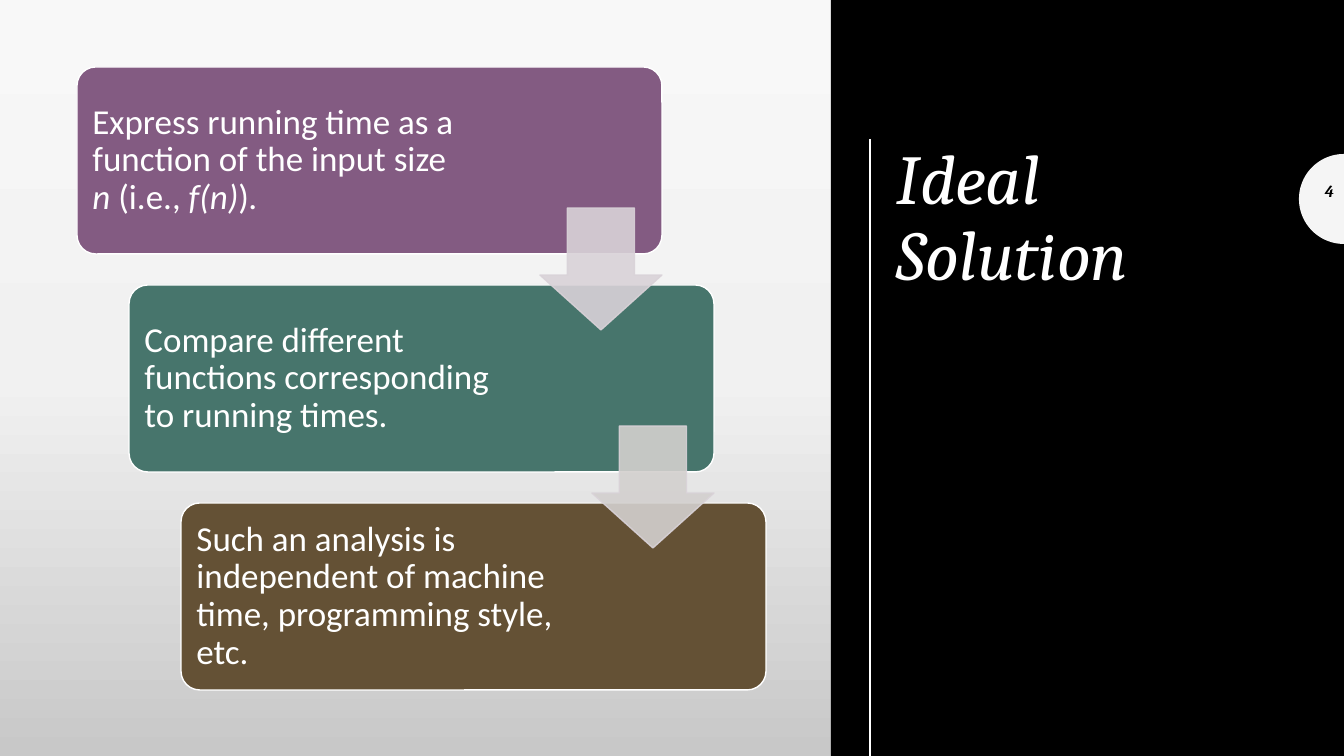
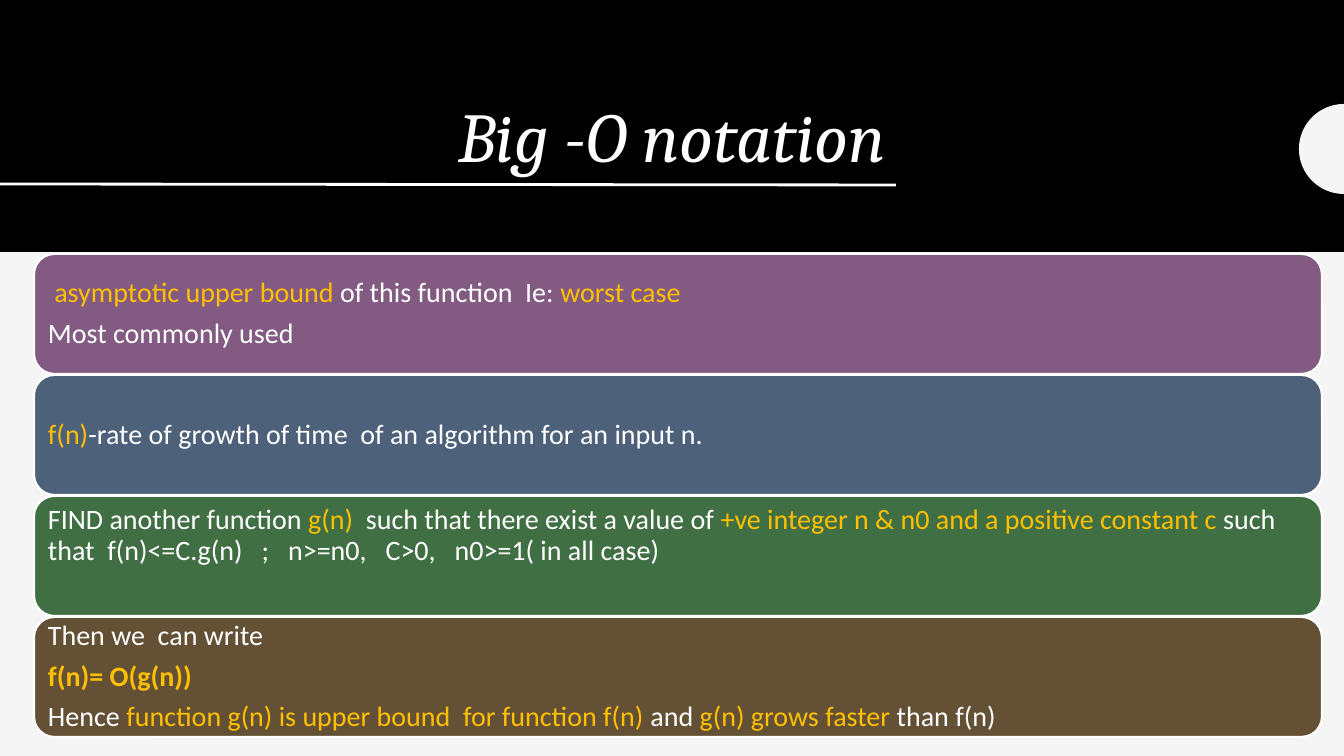
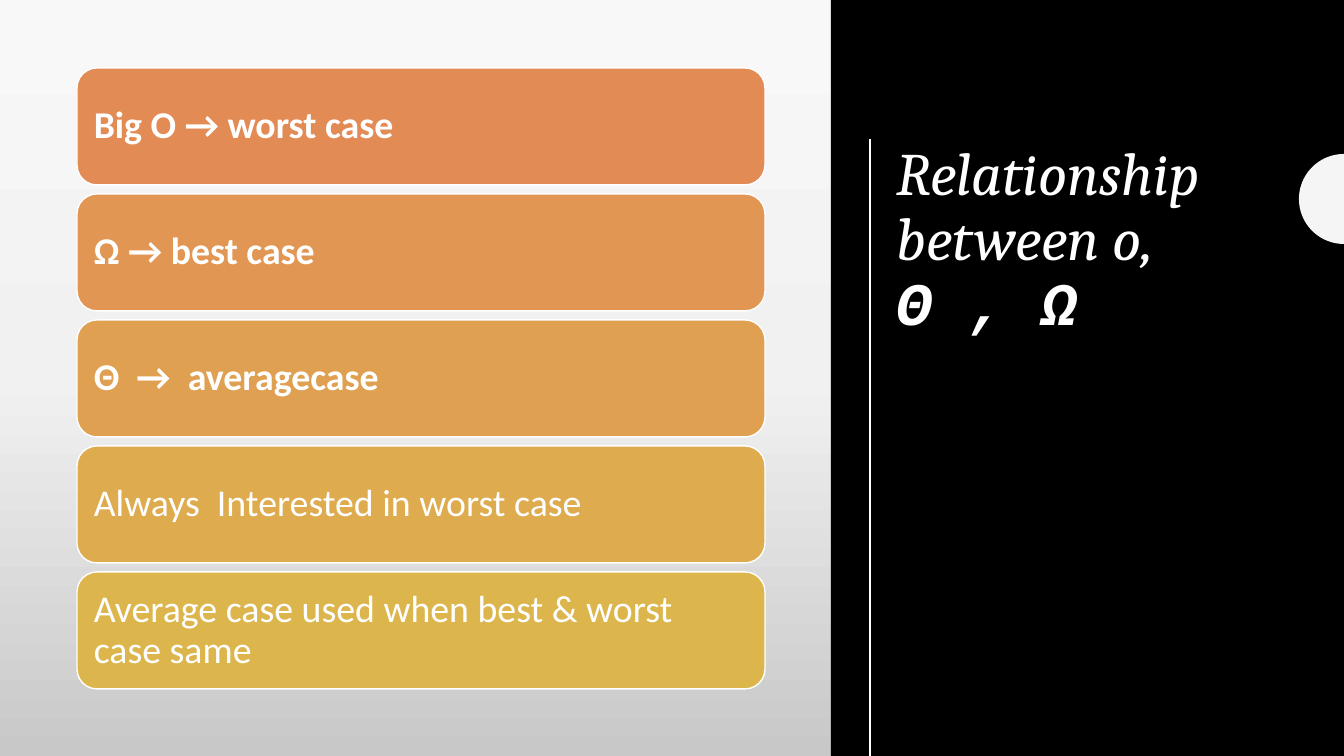
from dataclasses import dataclass, field
from math import cos, pi, sin
from typing import Any

from lxml import etree
from pptx import Presentation
from pptx.dml.color import RGBColor
from pptx.enum.shapes import MSO_CONNECTOR, MSO_SHAPE
from pptx.enum.text import MSO_ANCHOR, PP_ALIGN
from pptx.oxml.ns import qn
from pptx.shapes.autoshape import Shape
from pptx.slide import Slide
from pptx.text.text import TextFrame
from pptx.util import Emu, Pt

RECT = MSO_SHAPE.RECTANGLE
ROUND = MSO_SHAPE.ROUNDED_RECTANGLE
ARROW = MSO_SHAPE.DOWN_ARROW
LINE = MSO_CONNECTOR.STRAIGHT
TOP, MID, LOW = MSO_ANCHOR.TOP, MSO_ANCHOR.MIDDLE, MSO_ANCHOR.BOTTOM
LEFT, RIGHT = PP_ALIGN.LEFT, PP_ALIGN.RIGHT

WIDE, HIGH = 1344, 756
SCALE = 12192000 / WIDE

HUES = {
    "paper": "F5F5F5", "black": "000000", "white": "FFFFFF", "gold": "FFC000",
    "plum": "835B82", "teal": "47756C", "brown": "645135", "slate": "4D617A",
    "green": "416F44", "mauve": "D9D2D8", "stone": "D3D0CE",
    "warm1": "E28B55", "warm2": "E19653", "warm3": "DFA051",
    "warm4": "DEAB4F", "warm5": "DCB64D",
}
FADE = {0: "F8F8F8", 50: "F1F1F1", 100: "C8C8C8"}

BODY = {"name": "Calibri"}
HEAD = {"name": "Cambria", "italic": True}
BOLD = {"bold": True}
SLANT = {"italic": True}
CODE = {"name": "Courier New", "bold": True}


@dataclass(frozen=True)
class Run:
    text: str
    hue: str = "white"
    look: dict[str, Any] = field(default_factory=dict)


Lines = list[list[Run]]


@dataclass(frozen=True)
class Box:
    left: int
    top: int
    width: int
    height: int

    def shift(self, dx: int, dy: int) -> "Box":
        return Box(self.left + dx, self.top + dy, self.width, self.height)

    def emu(self) -> tuple[Emu, Emu, Emu, Emu]:
        return px(self.left), px(self.top), px(self.width), px(self.height)


@dataclass(frozen=True)
class Card:
    hue: str
    lines: Lines
    foot: int = 0


@dataclass(frozen=True)
class Stack:
    first: Box
    dx: int
    dy: int
    size: int
    edge: float
    round: float
    pad: int
    side: int


def px(num: float) -> Emu:
    return Emu(round(num * SCALE))


def tint(name: str) -> RGBColor:
    return RGBColor.from_string(HUES[name])


def write(frame: TextFrame, lines: Lines, size: int, base: dict[str, Any],
          form: dict[str, Any], align: PP_ALIGN = LEFT, after: int = 0) -> None:
    frame.word_wrap = True
    for key, val in form.items():
        setattr(frame, key, val)
    for num, line in enumerate(lines):
        para = frame.add_paragraph() if num else frame.paragraphs[0]
        look = {"alignment": align, "line_spacing": 0.9, "space_after": Pt(after)}
        for key, val in look.items():
            setattr(para, key, val)
        for part in line:
            run = para.add_run()
            run.text = part.text
            for key, val in {"size": Pt(size), **base, **part.look}.items():
                setattr(run.font, key, val)
            run.font.color.rgb = tint(part.hue)


def paint(shape: Shape, hue: str, edge: str = "", width: float = 1) -> None:
    shape.shadow.inherit = False
    shape.fill.solid()
    shape.fill.fore_color.rgb = tint(hue)
    if edge:
        shape.line.color.rgb = tint(edge)
        shape.line.width = Pt(width)
    else:
        shape.line.fill.background()


def block(slide: Slide, box: Box, hue: str) -> Shape:
    shape = slide.shapes.add_shape(RECT, *box.emu())
    paint(shape, hue)
    return shape


def fade(slide: Slide) -> None:
    shape = block(slide, Box(0, 0, WIDE, HIGH), "paper")
    shape.fill.gradient()
    shape.fill.gradient_angle = 270
    stops = next(shape._element.iter(qn("a:gsLst")))
    for stop in list(stops):
        stops.remove(stop)
    for pos, value in FADE.items():
        stop = etree.SubElement(stops, qn("a:gs"), pos=str(pos * 1000))
        etree.SubElement(stop, qn("a:srgbClr"), val=value)


def rule(slide: Slide, x1: int, y1: int, x2: int, y2: int) -> None:
    line = slide.shapes.add_connector(LINE, px(x1), px(y1), px(x2), px(y2))
    line.line.color.rgb = tint("white")
    line.line.width = Pt(2)
    etree.SubElement(line._element.spPr, qn("a:effectLst"))


def badge(slide: Slide, mid: int, text: str = "") -> None:
    arc = [(px(WIDE - 45 * sin(pi * k / 48)), px(mid - 45 * cos(pi * k / 48)))
           for k in range(49)]
    path = slide.shapes.build_freeform(*arc[0])
    path.add_line_segments(arc[1:], close=True)
    paint(path.convert_to_shape(), "paper")
    if text:
        label(slide, Box(WIDE - 45, mid - 21, 45, 40),
              [[Run(text, "black", BOLD)]], 12, align=RIGHT)


def label(slide: Slide, box: Box, lines: Lines, size: int,
          anchor: MSO_ANCHOR = TOP, align: PP_ALIGN = LEFT) -> None:
    shape = slide.shapes.add_textbox(*box.emu())
    write(shape.text_frame, lines, size, HEAD, {"vertical_anchor": anchor}, align)


def cards(slide: Slide, stack: Stack, items: list[Card]) -> None:
    for num, item in enumerate(items):
        box = stack.first.shift(num * stack.dx, num * stack.dy)
        shape = slide.shapes.add_shape(ROUND, *box.emu())
        shape.adjustments[0] = stack.round
        paint(shape, item.hue, "white", stack.edge)
        form = {"vertical_anchor": MID, "margin_top": 0,
                "margin_bottom": px(item.foot), "margin_left": px(stack.pad),
                "margin_right": px(stack.side)}
        write(shape.text_frame, item.lines, stack.size, BODY, form, after=7)


def arrow(slide: Slide, box: Box, hue: str) -> None:
    shape = slide.shapes.add_shape(ARROW, *box.emu())
    shape.adjustments[0] = 0.55
    shape.adjustments[1] = 0.45
    paint(shape, hue, "mauve")
    for node in shape._element.spPr.iter(qn("a:srgbClr")):
        etree.SubElement(node, qn("a:alpha"), val="90000")


def split(slide: Slide, title: Lines, size: int, text: str = "") -> None:
    fade(slide)
    block(slide, Box(831, 0, WIDE - 831, HIGH), "black")
    label(slide, Box(887, 139, 386, 469), title, size)
    rule(slide, 870, 139, 870, HIGH)
    badge(slide, 199, text)


def ideal(slide: Slide) -> None:
    split(slide, [[Run("Ideal Solution")]], 50, "4")
    stack = Stack(Box(77, 67, 585, 187), 52, 218, 25, 1, 0.1, 10, 200)
    cards(slide, stack, [
        Card("plum", [[
            Run("Express running time as a function of the input size "),
            Run("n", look=SLANT), Run(" (i.e., "), Run("f(n)", look=SLANT),
            Run(")"), Run(".", look=SLANT)]]),
        Card("teal", [[Run(
            "Compare different functions corresponding to running times.")]]),
        Card("brown", [[Run("Such an analysis is independent of machine time, "
                            "programming style, etc.")]]),
    ])
    first = Box(540, 208, 122, 122)
    for num, hue in enumerate(("mauve", "stone")):
        arrow(slide, first.shift(num * stack.dx, num * stack.dy), hue)


def big(slide: Slide) -> None:
    block(slide, Box(0, 0, WIDE, 252), "black")
    label(slide, Box(106, 47, 790, 136), [[Run("Big -O notation")]], 50, LOW, RIGHT)
    rule(slide, 0, 184, 896, 185)
    badge(slide, 149)
    stack = Stack(Box(34, 254, 1288, 120), 0, 121, 20, 1.5, 0.17, 8, 8)
    cards(slide, stack, [
        Card("plum", [
            [Run(" "), Run("asymptotic upper bound ", "gold"),
             Run("of this function  Ie: "), Run("worst case", "gold")],
            [Run("Most commonly used")]]),
        Card("slate", [[
            Run("f(n)", "gold"),
            Run("-rate of growth of time  of an algorithm for an input n.")]]),
        Card("green", [[
            Run("FIND another function "), Run("g(n)", "gold"),
            Run("  such that there exist a value of "),
            Run("+ve integer n & n0 and a positive constant c", "gold"),
            Run(" such that  f(n)<=C.g(n)   ;   n>=n0,   C>0,   "
                "n0>=1( in all case)")]], 40),
        Card("brown", [
            [Run("Then we  can write")],
            [Run("f(n)= O(g(n))", "gold", BOLD)],
            [Run("Hence "),
             Run("function g(n) is upper bound  for function f(n)", "gold"),
             Run(" and "), Run("g(n) grows faster ", "gold"),
             Run("than f(n)")]]),
    ])


def compare(slide: Slide) -> None:
    split(slide, [[Run("Relationship between o,")], [Run("Θ , Ω", look=CODE)]], 43)
    stack = Stack(Box(77, 68, 688, 117), 0, 126, 27, 1, 0.17, 11, 11)
    cards(slide, stack, [
        Card("warm1", [[Run("Big O → worst case", look=BOLD)]]),
        Card("warm2", [[Run("Ω → best case", look=BOLD)]]),
        Card("warm3", [[Run("Θ  →  averagecase", look=BOLD)]]),
        Card("warm4", [[Run("Always  Interested in worst case")]]),
        Card("warm5", [[Run("Average case used when best & worst case same")]]),
    ])


def main() -> None:
    deck = Presentation()
    deck.slide_width, deck.slide_height = px(WIDE), px(HIGH)
    for draw in (ideal, big, compare):
        slide = deck.slides.add_slide(deck.slide_layouts[6])
        slide.background.fill.solid()
        slide.background.fill.fore_color.rgb = tint("paper")
        draw(slide)
    deck.save("out.pptx")


if __name__ == "__main__":
    main()
